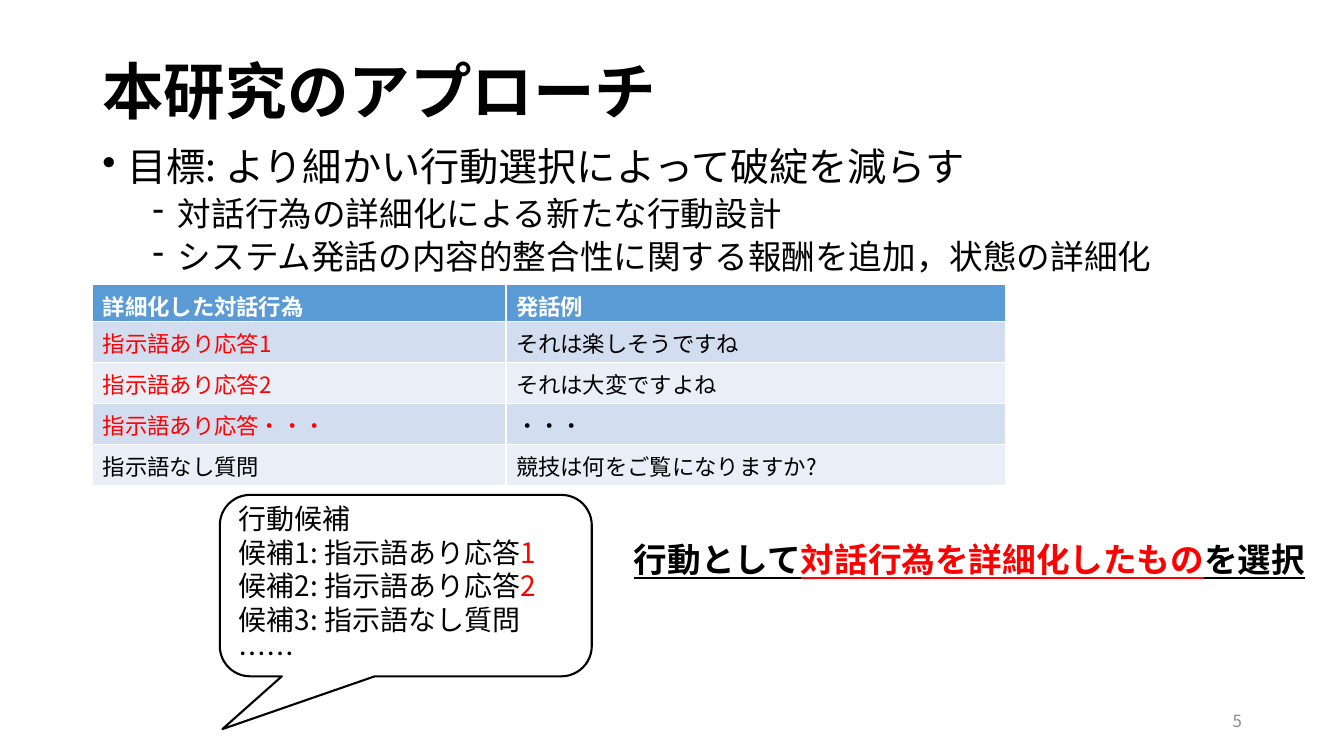
from pptx import Presentation
from pptx.dml.color import RGBColor
from pptx.enum.shapes import MSO_SHAPE
from pptx.enum.text import MSO_ANCHOR, PP_ALIGN
from pptx.oxml.ns import qn
from pptx.util import Pt
from lxml.etree import SubElement

FONT = "Noto Sans CJK JP"
BLACK = RGBColor(0x00, 0x00, 0x00)
WHITE = RGBColor(0xFF, 0xFF, 0xFF)
RED = RGBColor(0xFF, 0x00, 0x00)
GRAY = RGBColor(0x8C, 0x8C, 0x8C)
HEADER_BLUE = RGBColor(0x5B, 0x9B, 0xD5)
BAND_DARK = RGBColor(0xD2, 0xDE, 0xEF)
BAND_LIGHT = RGBColor(0xEA, 0xEF, 0xF7)


def write(para, spans, size, color=BLACK, bold=False, underline=False):
    """Fill a paragraph with (text, color) spans; plain text is one span."""
    if isinstance(spans, str):
        spans = [(spans, color)]
    font = para.font
    font.size, font.bold, font.underline = Pt(size), bold, underline
    font.name = FONT
    font.color.rgb = spans[0][1]
    for text, span_color in spans:
        span = para.add_run()
        span.text = text
        if len(spans) > 1:
            span.font.color.rgb = span_color
        # East Asian glyphs need their own typeface entry
        SubElement(span._r.get_or_add_rPr(), qn("a:ea"), typeface=FONT)


def add_text_box(page, box, anchor=MSO_ANCHOR.TOP, wrap=True):
    frame = page.shapes.add_textbox(*map(Pt, box)).text_frame
    frame.word_wrap = wrap
    frame.vertical_anchor = anchor
    return frame


def add_title(page, box):
    para = add_text_box(page, box, MSO_ANCHOR.MIDDLE).paragraphs[0]
    para.line_spacing = 0.9
    write(para, "本研究のアプローチ", 44, bold=True)


def add_goals(page, box):
    frame = add_text_box(page, box)
    goals = [
        (0, "目標: より細かい行動選択によって破綻を減らす"),
        (1, "対話行為の詳細化による新たな行動設計"),
        (1, "システム発話の内容的整合性に関する報酬を追加，状態の詳細化"),
    ]
    styles = [("•", 18, 10, 28), ("-", 54, 5, 24)]
    for index, (level, text) in enumerate(goals):
        bullet, indent, space, size = styles[level]
        para = frame.add_paragraph() if index else frame.paragraphs[0]
        para.level = level
        para.line_spacing = 0.9
        para.space_before = Pt(space)
        properties = para._p.get_or_add_pPr()
        properties.set("marL", str(Pt(indent)))
        properties.set("indent", str(Pt(-18)))
        SubElement(properties, qn("a:buChar"), char=bullet)
        write(para, text, size)


def add_act_table(page, box):
    rows = [
        ("詳細化した対話行為", "発話例"),
        ("指示語あり応答1", "それは楽しそうですね"),
        ("指示語あり応答2", "それは大変ですよね"),
        ("指示語あり応答・・・", "・・・"),
        ("指示語なし質問", "競技は何をご覧になりますか?"),
    ]
    left, top, width, height = box
    table = page.shapes.add_table(len(rows), 2, *map(Pt, box)).table
    table.columns[0].width = Pt(295.2)
    table.columns[1].width = Pt(width - 295.2)
    row_height = 29.3
    for r, texts in enumerate(rows):
        is_header = r == 0
        table.rows[r].height = Pt(row_height if r else height - 4 * row_height)
        for c, text in enumerate(texts):
            cell = table.cell(r, c)
            cell.fill.solid()
            cell.fill.fore_color.rgb = (
                HEADER_BLUE if is_header else BAND_DARK if r % 2 else BAND_LIGHT)
            is_detailed = c == 0 and text.startswith("指示語あり")
            color = WHITE if is_header else RED if is_detailed else BLACK
            write(cell.text_frame.paragraphs[0], text, 16, color, bold=is_header)


def add_candidates(page, box):
    bubble = page.shapes.add_shape(
        MSO_SHAPE.ROUNDED_RECTANGULAR_CALLOUT, *map(Pt, box))
    for index, value in enumerate((-0.493, 0.791, 0.167)):
        bubble.adjustments[index] = round(value, 3)
    bubble.shadow.inherit = False
    bubble.fill.background()
    bubble.line.color.rgb = BLACK
    bubble.line.width = Pt(1.5)
    frame = bubble.text_frame
    frame.word_wrap = True
    frame.vertical_anchor = MSO_ANCHOR.MIDDLE
    lines = [
        "行動候補",
        [("候補1: 指示語あり応答", BLACK), ("1", RED)],
        [("候補2: 指示語あり応答", BLACK), ("2", RED)],
        "候補3: 指示語なし質問",
        "……",
    ]
    for index, line in enumerate(lines):
        para = frame.add_paragraph() if index else frame.paragraphs[0]
        para.alignment = PP_ALIGN.LEFT
        write(para, line, 20)


def add_conclusion(page, box):
    para = add_text_box(page, box, wrap=False).paragraphs[0]
    spans = [("行動として", BLACK), ("対話行為を詳細化したもの", RED),
             ("を選択", BLACK)]
    write(para, spans, 24, bold=True, underline=True)


def add_page_number(page, box):
    para = add_text_box(page, box, MSO_ANCHOR.MIDDLE).paragraphs[0]
    para.alignment = PP_ALIGN.RIGHT
    write(para, "5", 12, GRAY)


deck = Presentation()
deck.slide_width, deck.slide_height = Pt(960), Pt(540)
page = deck.slides.add_slide(deck.slide_layouts[6])
add_title(page, (66, 15, 828, 104.4))
add_goals(page, (66, 102.2, 828, 342.7))
add_candidates(page, (157, 353.5, 265.7, 129.6))
add_conclusion(page, (445.7, 381.6, 499, 36))
add_act_table(page, (66.2, 203, 652.3, 143.3))
add_page_number(page, (678.2, 500.4, 216, 28.8))
deck.save("out.pptx")
